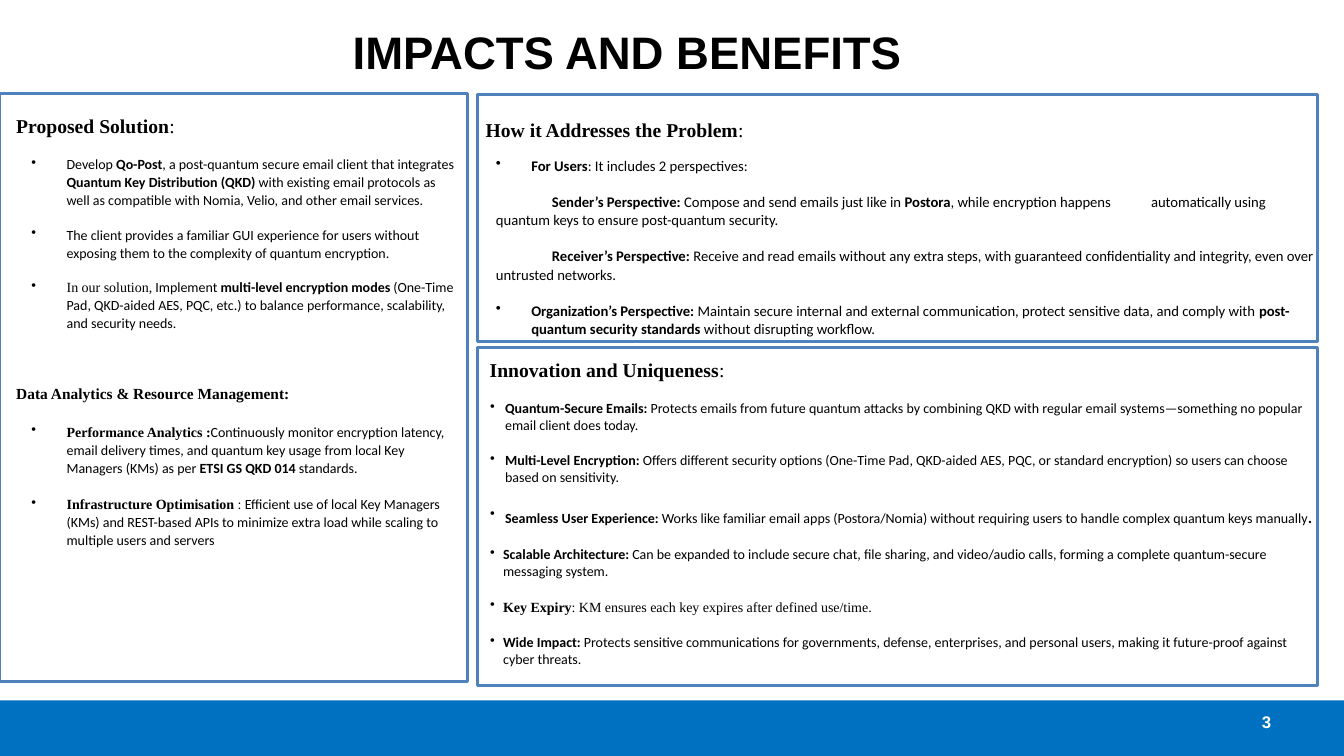
import pptx
import pptx.dml.color
import pptx.enum.shapes
import pptx.enum.text
import pptx.oxml.ns
import pptx.util
from lxml import etree
from pptx.util import Cm

SANS, SERIF, TITLE = "Calibri", "Times New Roman", "Arial"
BLUE, FRAME, BLACK, WHITE = "0070C0", "4F81BD", "000000", "FFFFFF"


def colour(hex_code):
    return pptx.dml.color.RGBColor.from_string(hex_code)


def add_rect(slide, x, y, w, h, fill=None, line=None):
    sp = slide.shapes.add_shape(
        pptx.enum.shapes.MSO_SHAPE.RECTANGLE, Cm(x), Cm(y), Cm(w), Cm(h))
    sp.shadow.inherit = False
    if fill:
        sp.fill.solid()
        sp.fill.fore_color.rgb = colour(fill)
    else:
        sp.fill.background()
    if line:
        sp.line.color.rgb = colour(line)
        sp.line.width = pptx.util.Pt(2)
    else:
        sp.line.fill.background()
    return sp


def set_frame(sp, top=0.03):
    """Prepare a shape's text frame: wrapped, top-anchored, only a top inset."""
    tf = sp.text_frame
    tf.word_wrap = True
    tf.vertical_anchor = pptx.enum.text.MSO_ANCHOR.TOP
    tf.margin_left = tf.margin_right = tf.margin_bottom = 0
    tf.margin_top = Cm(top)
    return tf


def add_text(slide, x, y, w, h):
    return set_frame(slide.shapes.add_textbox(Cm(x), Cm(y), Cm(w), Cm(h)))


def add_para(tf, runs, size, before=0, left=0, first=0, bullet=False,
             tab=None, spacing=None, font=SANS, color=BLACK):
    """Add a paragraph; a run is (text, flags, size): b is bold, s is serif."""
    p = tf.paragraphs[0]
    if p.runs:
        p = tf.add_paragraph()
    p.alignment = pptx.enum.text.PP_ALIGN.LEFT
    pPr = p._p.get_or_add_pPr()
    pPr.set("marL", str(Cm(left)))
    pPr.set("indent", str(Cm(first)))
    if bullet:
        etree.SubElement(pPr, pptx.oxml.ns.qn("a:buChar"), char="•")
    if tab:
        tabs = etree.SubElement(pPr, pptx.oxml.ns.qn("a:tabLst"))
        etree.SubElement(tabs, pptx.oxml.ns.qn("a:tab"), pos=str(Cm(tab)), algn="l")
    p.space_before = pptx.util.Pt(before)
    if spacing:
        p.line_spacing = spacing
    for text, flags, *own_size in runs:
        r = p.add_run()
        r.text = text
        r.font.name = SERIF if "s" in flags else font
        r.font.size = pptx.util.Pt(own_size[0] if own_size else size)
        r.font.bold = "b" in flags
        r.font.color.rgb = colour(color)


def add_heading(tf, text, left=0):
    add_para(tf, [(text, "bs"), (":", "s")], 14, left=left)


def add_solution(slide):
    tf = add_text(slide, 0.41, 2.84, 11.23, 11.94)
    add_heading(tf, "Proposed Solution")

    def item(runs, before=12):
        add_para(tf, runs, 10, before, 1.27, -0.89, bullet=True, spacing=1.07)

    item([("Develop ", ""), ("Qo-Post", "b"),
          (", a post-quantum secure email client that integrates ", ""),
          ("Quantum Key Distribution (QKD)", "b"),
          (" with existing email protocols as well as compatible with Nomia, "
           "Velio, and other email services.", "")])
    item([("The client provides a familiar GUI experience for users without "
           "exposing them to the complexity of quantum encryption.", "")])
    item([("In our solution,", "s"), (" Implement ", ""),
          ("multi-level encryption modes", "b"),
          (" (One-Time Pad, QKD-aided AES, PQC, etc.) to balance performance, "
           "scalability, and security needs.", "")])
    add_para(tf, [("Data Analytics & Resource Management:", "bs")], 11, 37.4)
    item([("Performance Analytics :", "bs"),
          ("Continuously monitor encryption latency, email delivery times, and "
           "quantum key usage from local Key Managers (KMs) as per ", ""),
          ("ETSI GS QKD 014", "b"), (" standards.", "")], 14)
    item([("Infrastructure Optimisation ", "bs"), (": ", "s"),
          ("Efficient use of local Key Managers (KMs) and REST-based APIs to "
           "minimize extra load while scaling to multiple users and servers", "")], 13)


def add_problem(slide):
    add_heading(add_text(slide, 12.24, 2.95, 6.53, 0.66),
                "How it Addresses the Problem")
    tf = add_text(slide, 12.5, 3.89, 20.8, 4.65)
    hanging = {"left": 0.89, "first": -0.89, "bullet": True}
    indented = {"first": 1.41, "tab": 16.57}
    paragraphs = [
        (hanging, [("For Users", "b"), (": It includes 2 perspectives:", "")]),
        (indented, [("Sender’s Perspective:", "b"),
                    (" Compose and send emails just like in ", ""), ("Postora", "b"),
                    (", while encryption happens\tautomatically using quantum "
                     "keys to ensure post-quantum security.", "")]),
        (indented, [("Receiver’s Perspective:", "b"),
                    (" Receive and read emails without any extra steps, with guaranteed "
                     "confidentiality and integrity, even over untrusted networks.", "")]),
        (hanging, [("Organization’s Perspective:", "b"),
                   (" Maintain secure internal and external communication, protect "
                    "sensitive data, and comply with ", ""),
                   ("post-quantum security standards ", "b"),
                   ("without disrupting workflow.", "")]),
    ]
    for i, (layout, runs) in enumerate(paragraphs):
        add_para(tf, runs, 10.5, 12 if i else 0, spacing=1.07, **layout)


def add_innovation(slide):
    tf = set_frame(add_rect(slide, 12.04, 8.76, 21.16, 8.51, line=FRAME), 0.25)
    add_heading(tf, "Innovation and Uniqueness", 0.3)
    wide, narrow = (0.69, -0.38), (0.64, -0.33)
    items = [
        (wide, [("Quantum-Secure Emails:", "b"),
                (" Protects emails from future quantum attacks by combining QKD with "
                 "regular email systems—something no popular email client does today.", "")]),
        (wide, [("Multi-Level Encryption:", "b"),
                (" Offers different security options (One-Time Pad, QKD-aided AES, PQC, "
                 "or standard encryption) so users can choose based on sensitivity.", "")]),
        (wide, [("Seamless User Experience:", "b"),
                (" Works like familiar email apps (Postora/Nomia) without requiring "
                 "users to handle complex quantum keys manually", ""), (".", "", 14)]),
        (narrow, [("Scalable Architecture:", "b"),
                  (" Can be expanded to include secure chat, file sharing, and video/audio "
                   "calls, forming a complete quantum-secure messaging system.", "")]),
        (narrow, [("Key Expiry", "bs"),
                  (": KM ensures each key expires after defined use/time.", "s")]),
        (narrow, [("Wide Impact:", "b"),
                  (" Protects sensitive communications for governments, defense, enterprises, "
                   "and personal users, making it future-proof against cyber threats.", "")]),
    ]
    for (left, first), runs in items:
        add_para(tf, runs, 10, 13.2, left, first, bullet=True)


def main():
    prs = pptx.Presentation()
    prs.slide_width, prs.slide_height = Cm(33.87), Cm(19.05)
    slide = prs.slides.add_slide(prs.slide_layouts[6])

    add_rect(slide, 0, 17.65, 33.87, 1.4, fill=BLUE)
    add_para(add_text(slide, 8.89, 0.58, 17.58, 1.42),
             [("IMPACTS AND BENEFITS", "b")], 32.5, font=TITLE)
    add_solution(slide)
    add_problem(slide)
    add_innovation(slide)
    add_rect(slide, 0, 2.36, 11.79, 14.81, line=FRAME)
    add_rect(slide, 12.04, 2.39, 21.16, 6.22, line=FRAME)
    add_para(add_text(slide, 31.7, 17.96, 0.48, 0.48), [("3", "b")], 12,
             left=0.1, spacing=pptx.util.Pt(12.7), font=TITLE, color=WHITE)
    prs.save("out.pptx")


if __name__ == "__main__":
    main()
